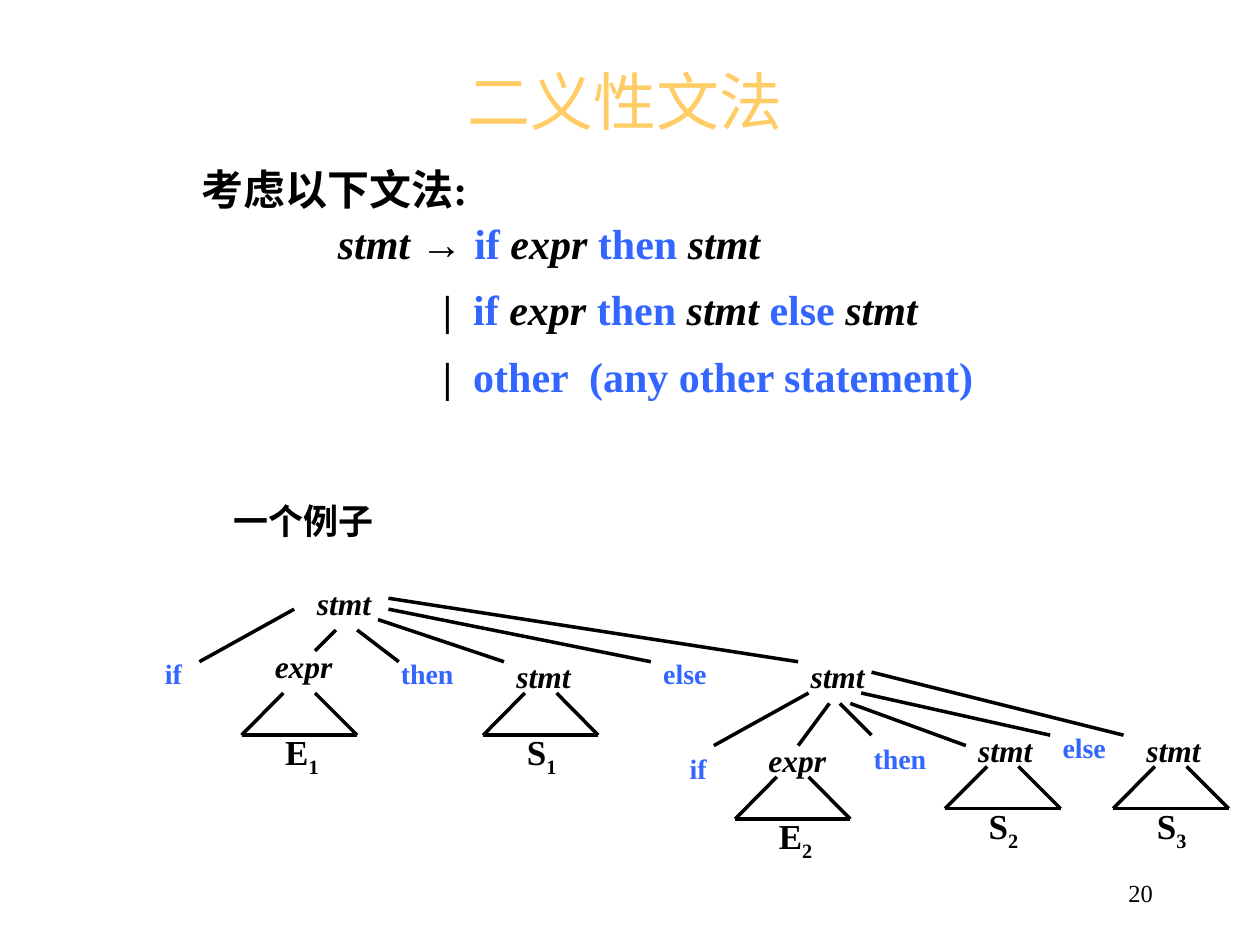
from dataclasses import dataclass

from lxml import etree
from pptx import Presentation
from pptx import util as u
from pptx.dml.color import RGBColor
from pptx.enum import shapes, text
from pptx.oxml import ns


@dataclass(frozen=True)
class Theme:
    ink: RGBColor = RGBColor(0x00, 0x00, 0x00)
    keyword: RGBColor = RGBColor(0x33, 0x66, 0xFF)
    title: RGBColor = RGBColor(0xFF, 0xCC, 0x66)
    serif: str = "Times New Roman"
    sans: str = "Arial"
    title_size: int = 36
    body_size: int = 24
    example_size: int = 20
    node_size: int = 18
    token_size: int = 16
    number_size: int = 14
    line_width: int = 2


THEME = Theme()
CELL = 2.54 / 12
LEFT, CENTER, RIGHT = text.PP_ALIGN.LEFT, text.PP_ALIGN.CENTER, text.PP_ALIGN.RIGHT

GRAMMAR = [
    [("stmt ", "node"), ("→ ", "arrow"), ("if ", "token"), ("expr ", "node"),
     ("then ", "token"), ("stmt", "node")],
    [("\t|\t", "plain"), ("if ", "token"), ("expr ", "node"), ("then ", "token"),
     ("stmt ", "node"), ("else ", "token"), ("stmt", "node")],
    [("\t|\t", "plain"), ("other  (any other statement)", "token")],
]
GRAMMAR_TABS = (2.12, 2.73)

NODES = [
    ("stmt", 29, 55), ("expr", 25, 61), ("stmt", 48, 62), ("stmt", 76, 62),
    ("expr", 72, 70), ("stmt", 92, 69), ("stmt", 108, 69),
]
TOKENS = [
    ("if", 12, 62), ("then", 37, 62), ("else", 62, 62),
    ("if", 62, 71), ("then", 82, 70), ("else", 100, 69),
]
SUBTREES = [
    ("E", "1", 23, 70), ("S", "1", 46, 70), ("E", "2", 70, 78),
    ("S", "2", 90, 77), ("S", "3", 106, 77),
]
BRANCHES = [
    (28, 58, 19, 63), (32, 60, 30, 62), (34, 60, 38, 63),
    (36, 59, 48, 63), (37, 58, 62, 63), (37, 57, 76, 63),
    (77, 66, 68, 71), (79, 67, 76, 71), (80, 67, 83, 70),
    (81, 67, 92, 71), (82, 66, 100, 70), (83, 64, 107, 70),
]


def grid(n):
    return u.Cm(round(n * CELL, 2))


def add_box(s, x, y, w, h, anchor=text.MSO_ANCHOR.TOP):
    sp = s.shapes.add_textbox(grid(x), grid(y), grid(w), grid(h))
    tf = sp.text_frame
    tf.word_wrap = True
    tf.vertical_anchor = anchor
    return tf


def set_font(p, size, color, name=THEME.serif, bold=True, italic=False):
    p.font.size = u.Pt(size)
    p.font.color.rgb = color
    p.font.name = name
    p.font.bold = bold
    p.font.italic = italic


def add_label(s, words, box, size, color=THEME.ink, align=LEFT,
              anchor=text.MSO_ANCHOR.TOP, **font):
    p = add_box(s, *box, anchor).paragraphs[0]
    p.alignment = align
    set_font(p, size, color, **font)
    p.add_run().text = words
    return p


def add_line(s, x1, y1, x2, y2):
    line = s.shapes.add_connector(
        shapes.MSO_CONNECTOR.STRAIGHT, grid(x1), grid(y1), grid(x2), grid(y2))
    line.line.color.rgb = THEME.ink
    line.line.width = u.Pt(THEME.line_width)
    etree.SubElement(line._element.spPr, ns.qn("a:effectLst"))


def add_subtree(s, letter, index, x, y):
    add_line(s, x + 4, y - 4, x, y)
    add_line(s, x + 7, y - 4, x + 11, y)
    add_line(s, x, y, x + 11, y)
    p = add_label(s, letter, (x + 3, y - 1, 6, 5.8), THEME.example_size)
    r = p.add_run()
    r.text = index
    r._r.get_or_add_rPr().set("baseline", "-25000")


def add_tabs(p, stops):
    tabs = etree.SubElement(p._p.get_or_add_pPr(), ns.qn("a:tabLst"))
    for stop in stops:
        etree.SubElement(tabs, ns.qn("a:tab"), pos=str(u.Cm(stop)), algn="l")


def add_grammar(s):
    tf = add_box(s, 31, 21, 68, 17.8)
    for i, rule in enumerate(GRAMMAR):
        p = tf.add_paragraph() if i else tf.paragraphs[0]
        p.line_spacing = 0.8
        p.space_before = u.Pt(15 if i else 0)
        add_tabs(p, GRAMMAR_TABS)
        set_font(p, THEME.body_size, THEME.ink)
        for words, kind in rule:
            r = p.add_run()
            r.text = words
            if kind == "node":
                r.font.italic = True
            elif kind == "token":
                r.font.color.rgb = THEME.keyword
            elif kind == "arrow":
                r.font.name = THEME.sans


def add_tree(s):
    for name, x, y in NODES:
        add_label(s, name, (x, y, 9, 4.8), THEME.node_size, italic=True)
    for name, x, y in TOKENS:
        add_label(s, name, (x, y, 9, 4.4), THEME.token_size, THEME.keyword,
                  CENTER if name == "if" else LEFT)
    for subtree in SUBTREES:
        add_subtree(s, *subtree)
    for branch in BRANCHES:
        add_line(s, *branch)


def main():
    prs = Presentation()
    prs.slide_width, prs.slide_height = u.Cm(25.4), u.Cm(19.05)
    s = prs.slides.add_slide(prs.slide_layouts[6])
    middle = text.MSO_ANCHOR.MIDDLE
    add_label(s, "二义性文法", (9, 3, 101, 13), THEME.title_size, THEME.title,
              CENTER, middle, name=THEME.sans, bold=False)
    add_label(s, "考虑以下文法:", (18, 15, 97, 6), THEME.body_size)
    add_grammar(s)
    add_label(s, "一个例子", (21, 47, 58, 5.3), THEME.example_size)
    add_tree(s)
    add_label(s, "20", (86, 82, 25, 6), THEME.number_size, THEME.ink,
              RIGHT, middle, bold=False)
    prs.save("out.pptx")


if __name__ == "__main__":
    main()
